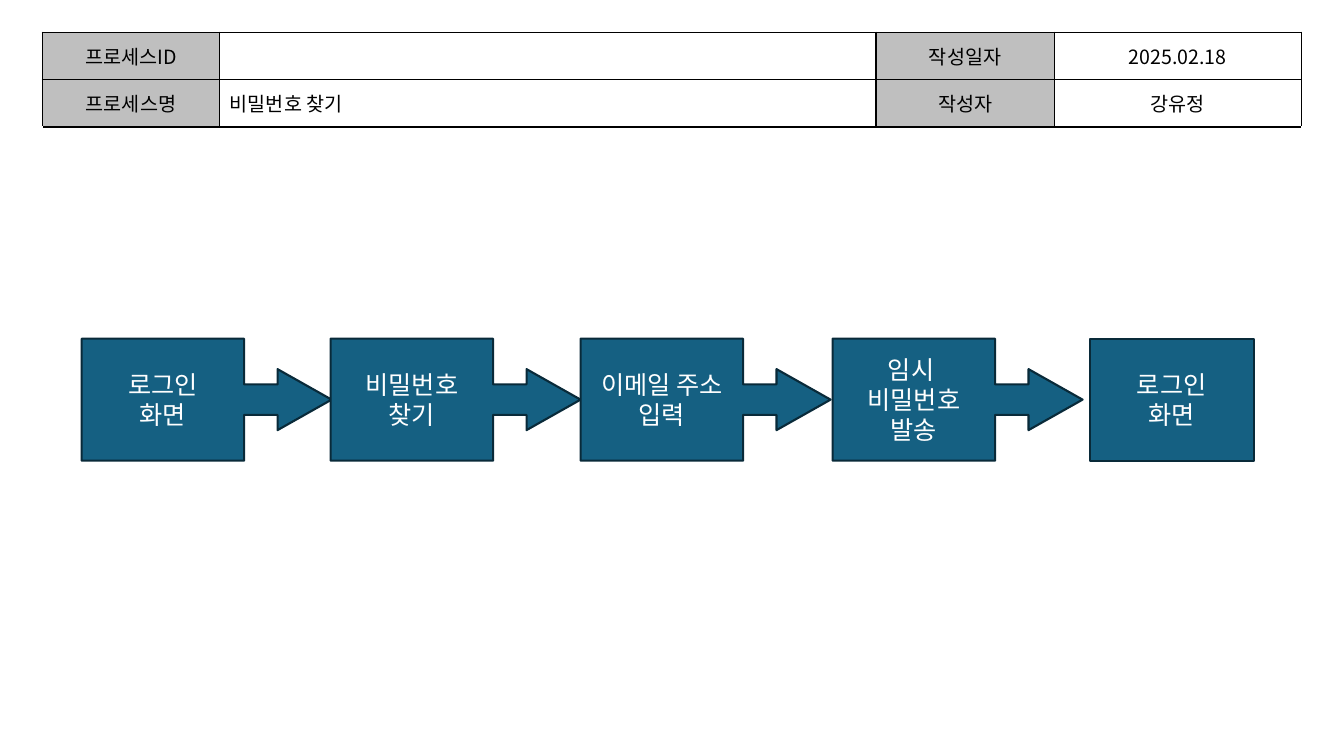
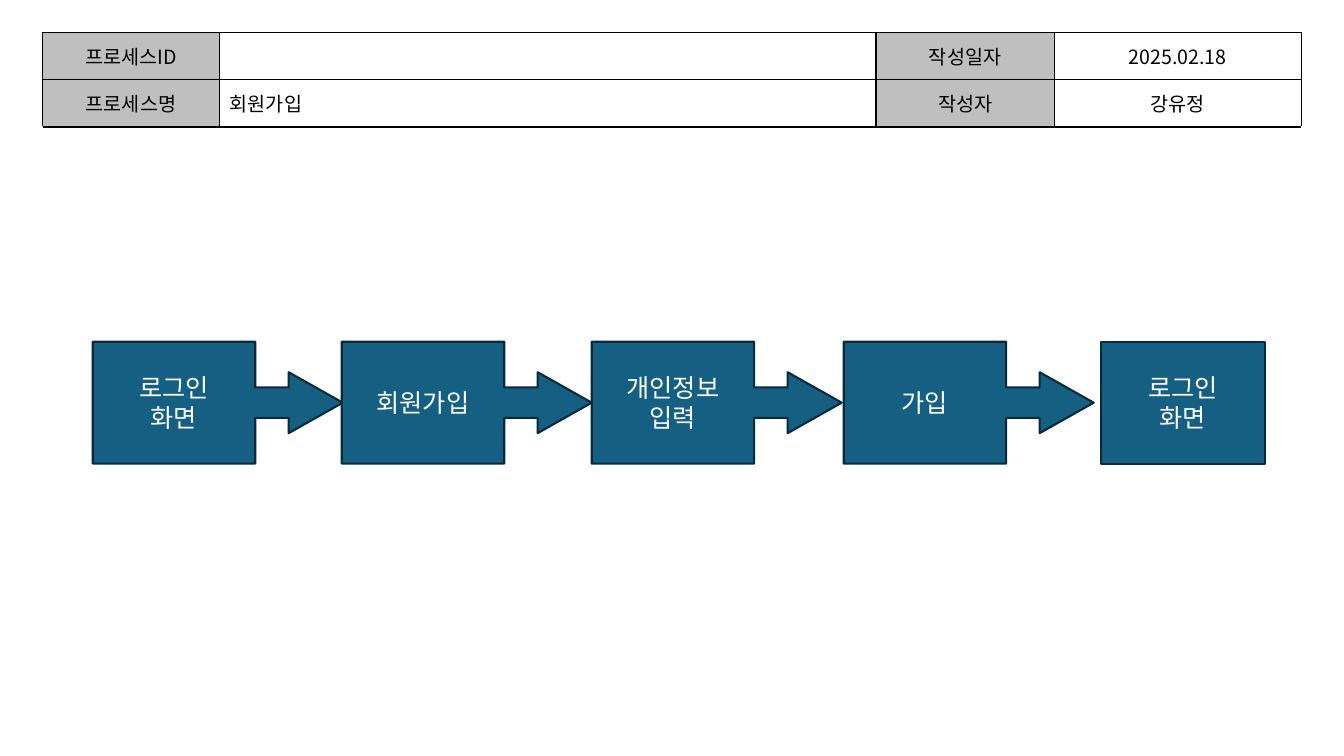
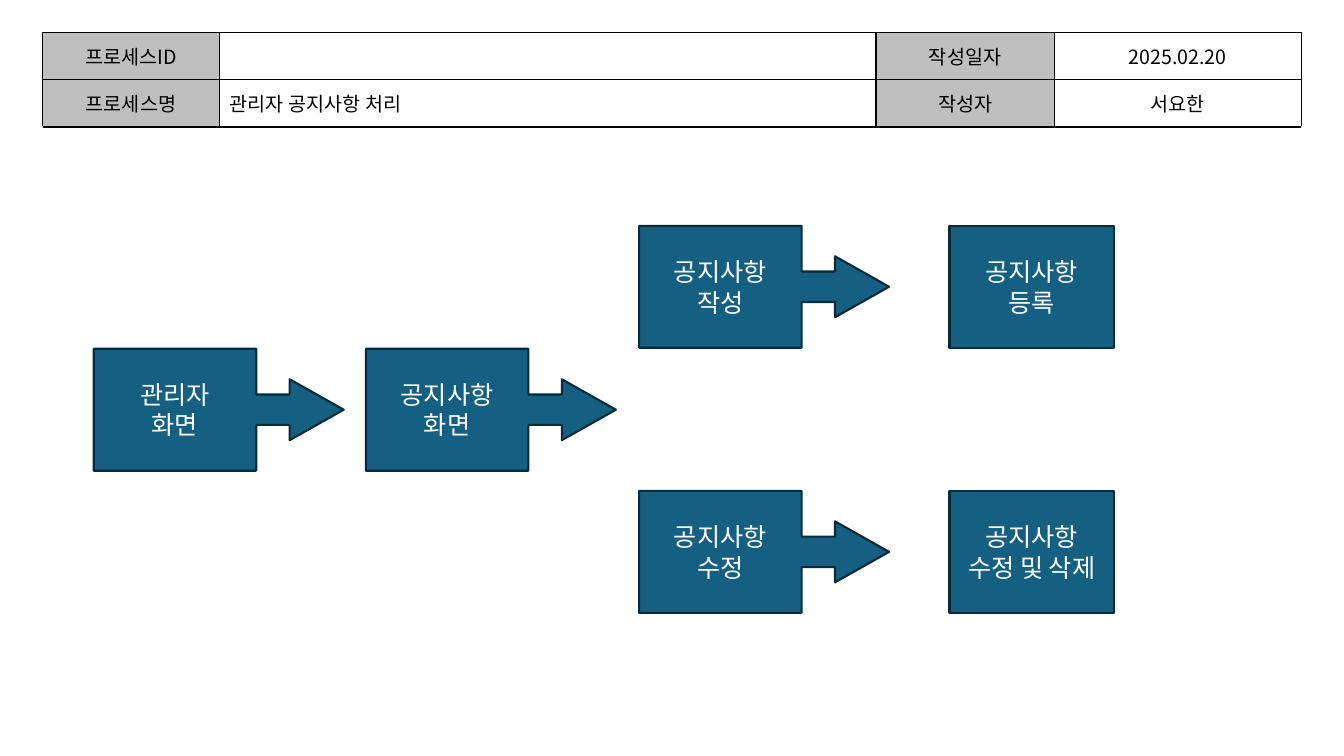
from dataclasses import dataclass

from lxml import etree
from pptx import Presentation
from pptx import util as u
from pptx.dml import color
from pptx.enum import shapes, text
from pptx.oxml import ns

PX = 9144  # 100 px to the inch


@dataclass(frozen=True)
class Theme:
    font: str = "Noto Sans CJK KR"
    header_size: int = 14
    step_size: int = 18
    border_width: int = 1
    outline_width: float = 1.5
    ink: str = "000000"
    label_fill: str = "BFBFBF"
    step_fill: str = "156082"
    step_line: str = "092A39"
    step_text: str = "FFFFFF"


theme = Theme()


def write(frame, lines, size, ink, align):
    """Fill a text frame with one paragraph per line."""
    for i, line in enumerate(lines):
        para = frame.paragraphs[0] if i == 0 else frame.add_paragraph()
        para.alignment = align
        run = para.add_run()
        run.text = line
        run.font.size = u.Pt(size)
        run.font.color.rgb = color.RGBColor.from_string(ink)
        run.font.name = theme.font
        east_asian = etree.Element(ns.qn("a:ea"), typeface=theme.font)
        run.font.language_id  # keeps the run properties in place
        run.font.fill  # the fill precedes the fonts
        run._r.rPr.find(ns.qn("a:latin")).addnext(east_asian)


def border(cell, sides):
    """Draw solid lines on the given sides, in L, R, T, B order."""
    props = cell._tc.get_or_add_tcPr()
    for i, side in enumerate(sides):
        line = etree.Element(ns.qn("a:ln" + side), w=str(u.Pt(theme.border_width)))
        solid = etree.SubElement(line, ns.qn("a:solidFill"))
        etree.SubElement(solid, ns.qn("a:srgbClr"), val=theme.ink)
        props.insert(i, line)


# Header table geometry
TABLE_LEFT, TABLE_TOP = 42, 32
COLUMNS = [176, 651, 177, 245]
ROWS = [47, 47, 588]

# Step geometry
BOX_WIDTH, CALLOUT_WIDTH, STEP_HEIGHT = 163, 248, 121
CALLOUT_ADJUST = [0.25, 0.25, 0.443, 0.65]
CHAIN = [0, 247, 495, 745, 1000]

# Each step: left, top, lines, whether an arrow leads on
password_steps = [["로그인", "화면"], ["비밀번호", "찾기"], ["이메일 주소", "입력"],
                  ["임시 ", "비밀번호", "발송"], ["로그인", "화면"]]
signup_steps = [["로그인", "화면"], ["회원가입"], ["개인정보", "입력"],
                ["가입"], ["로그인", "화면"]]
notice_steps = [
    (93, 346, ["관리자", "화면"], True),
    (363, 346, ["공지사항", "화면"], True),
    (634, 224, ["공지사항", "작성"], True),
    (942, 224, ["공지사항", "등록"], False),
    (634, 487, ["공지사항", "수정"], True),
    (942, 487, ["공지사항", "수정 및 삭제"], False),
]
chains = [
    [(left + x, top, lines, x != CHAIN[-1]) for x, lines in zip(CHAIN, steps)]
    for left, top, steps in [(81, 336, password_steps), (92, 339, signup_steps)]
]
processes = [
    ("비밀번호 찾기", "2025.02.18", "강유정", chains[0]),
    ("회원가입", "2025.02.18", "강유정", chains[1]),
    ("관리자 공지사항 처리", "2025.02.20", "서요한", notice_steps),
]

deck = Presentation()
deck.slide_width, deck.slide_height = u.Inches(13.333), u.Inches(7.5)

for process, date, author, steps in processes:
    slide = deck.slides.add_slide(deck.slide_layouts[6])

    # Header table with an open area below
    header = slide.shapes.add_table(
        len(ROWS), len(COLUMNS), TABLE_LEFT * PX, TABLE_TOP * PX,
        sum(COLUMNS) * PX, sum(ROWS) * PX).table
    header.first_row = header.horz_banding = False
    for column, width in zip(header.columns, COLUMNS):
        column.width = width * PX
    for row, height in zip(header.rows, ROWS):
        row.height = height * PX

    entries = [["프로세스ID", "", "작성일자", date],
               ["프로세스명", process, "작성자", author]]
    for r, entry_row in enumerate(entries):
        for c, entry in enumerate(entry_row):
            cell = header.cell(r, c)
            cell.vertical_anchor = text.MSO_ANCHOR.MIDDLE
            if c % 2 == 0:
                cell.fill.solid()
                cell.fill.fore_color.rgb = color.RGBColor.from_string(theme.label_fill)
            else:
                cell.fill.background()
            border(cell, "LRTB")
            if entry:
                align = text.PP_ALIGN.LEFT if c == 1 else text.PP_ALIGN.CENTER
                write(cell.text_frame, [entry], theme.header_size, theme.ink, align)

    last = len(ROWS) - 1
    header.cell(last, 0).merge(header.cell(last, len(COLUMNS) - 1))
    for c in range(len(COLUMNS)):
        header.cell(last, c).fill.background()
        border(header.cell(last, c), "T")

    # Process steps
    for left, top, lines, leads_on in steps:
        preset = (shapes.MSO_SHAPE.RIGHT_ARROW_CALLOUT if leads_on
                  else shapes.MSO_SHAPE.FLOWCHART_PROCESS)
        width = CALLOUT_WIDTH if leads_on else BOX_WIDTH
        step = slide.shapes.add_shape(
            preset, left * PX, top * PX, width * PX, STEP_HEIGHT * PX)
        if leads_on:
            for i, value in enumerate(CALLOUT_ADJUST):
                step.adjustments[i] = value
        step.shadow.inherit = False
        step.fill.solid()
        step.fill.fore_color.rgb = color.RGBColor.from_string(theme.step_fill)
        step.line.color.rgb = color.RGBColor.from_string(theme.step_line)
        step.line.width = u.Pt(theme.outline_width)
        step.text_frame.vertical_anchor = text.MSO_ANCHOR.MIDDLE
        write(step.text_frame, lines, theme.step_size, theme.step_text,
              text.PP_ALIGN.CENTER)

deck.save("out.pptx")
